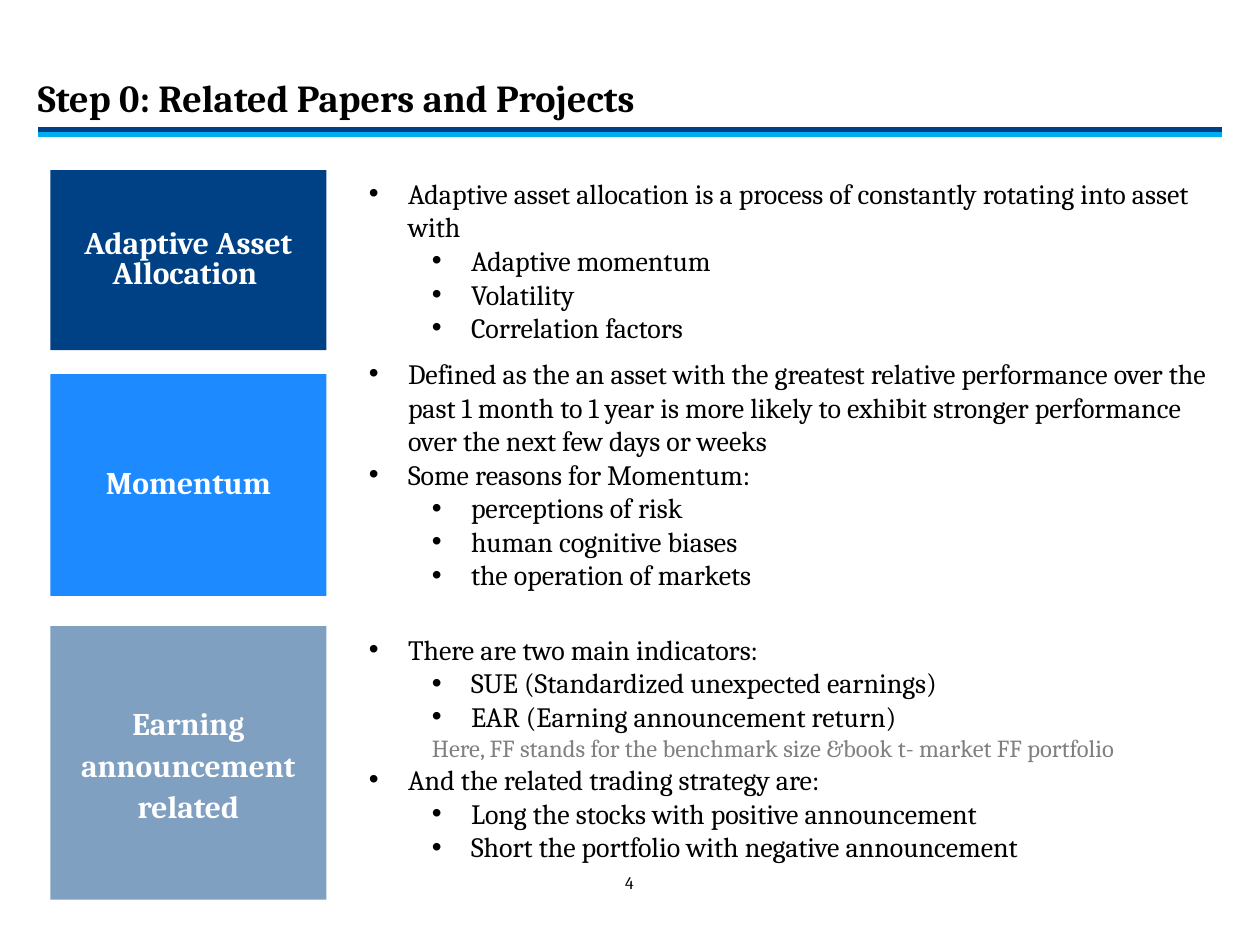
from dataclasses import dataclass

from lxml.etree import SubElement
from pptx import Presentation
from pptx.dml.color import RGBColor
from pptx.enum.shapes import MSO_CONNECTOR, MSO_SHAPE
from pptx.enum.text import MSO_ANCHOR, MSO_AUTO_SIZE, PP_ALIGN
from pptx.oxml.ns import qn
from pptx.util import Inches, Pt


@dataclass(frozen=True)
class Theme:
    font: str = "Cambria"
    black: str = "000000"
    white: str = "FFFFFF"
    grey: str = "808080"
    navy: str = "004185"
    cyan: str = "00ADEE"
    blue: str = "1D8BFF"
    steel: str = "80A0C2"
    title_size: float = 21.8
    label_size: float = 18
    body_size: float = 16
    note_size: float = 14
    number_size: float = 10


THEME = Theme()
RULE_LEFT, RULE_RIGHT = 0.3, 9.7
LABEL_LEFT, LABEL_WIDTH = 0.4, 2.19
BODY_LEFT, BODY_WIDTH = 2.83, 6.88
HANGING = 0.31

# Paragraph kinds: level, left margin, hanging indent
POINT = (0, HANGING, HANGING)
SUBPOINT = (1, 0.5 + HANGING, HANGING)
NOTE = (1, 0.5, 0)

# Each topic: label, colour, line spacing, label (top, height), body (top, height), lines
TOPICS = [
    ("Adaptive Asset Allocation ", THEME.navy, 0.8, (1.35, 1.43), (1.35, 1.45), [
        (POINT, "Adaptive asset allocation is a process of constantly rotating into asset with"),
        (SUBPOINT, "Adaptive momentum"),
        (SUBPOINT, "Volatility"),
        (SUBPOINT, "Correlation factors"),
    ]),
    ("Momentum", THEME.blue, 0.8, (2.97, 1.76), (2.78, 1.99), [
        (POINT, "Defined as the an asset with the greatest relative performance over the "
                "past 1 month to 1 year is more likely to exhibit stronger performance "
                "over the next few days or weeks"),
        (POINT, "Some reasons for Momentum:"),
        (SUBPOINT, "perceptions of risk"),
        (SUBPOINT, "human cognitive biases"),
        (SUBPOINT, "the operation of markets"),
    ]),
    ("Earning announcement related", THEME.steel, 1.1, (4.97, 2.17), (4.97, 2.22), [
        (POINT, "There are two main indicators:"),
        (SUBPOINT, "SUE (Standardized unexpected earnings)"),
        (SUBPOINT, "EAR (Earning announcement return)"),
        (NOTE, "Here, FF stands for the benchmark size &book t- market FF portfolio"),
        (POINT, "And the related trading strategy are:"),
        (SUBPOINT, "Long the stocks with positive announcement"),
        (SUBPOINT, "Short the portfolio with negative announcement"),
    ]),
]


def write(paragraph, text, size, color=THEME.black, bold=False,
          align=PP_ALIGN.LEFT, spacing=None):
    paragraph.alignment = align
    if spacing:
        paragraph.line_spacing = spacing
    run = paragraph.add_run()
    run.text = text
    run.font.name = THEME.font
    run.font.size = Pt(size)
    run.font.bold = bold
    run.font.color.rgb = RGBColor.from_string(color)


def prepare_frame(frame, anchor):
    """Wrap the text and drop the inner margins."""
    frame.word_wrap = True
    frame.auto_size = MSO_AUTO_SIZE.NONE
    frame.vertical_anchor = anchor
    frame.margin_left = frame.margin_right = 0
    frame.margin_top = frame.margin_bottom = 0


def set_indent(paragraph, kind):
    level, margin, hanging = kind
    paragraph.level = level
    properties = paragraph._p.get_or_add_pPr()
    properties.set("marL", str(Inches(margin)))
    properties.set("indent", str(-Inches(hanging)))
    if hanging:
        SubElement(properties, qn("a:buFont")).set("typeface", "Arial")
        SubElement(properties, qn("a:buChar")).set("char", "•")
    else:
        SubElement(properties, qn("a:buNone"))


def add_title(slide, text):
    title = slide.shapes.title
    title.left, title.top = Inches(RULE_LEFT), Inches(0.32)
    title.width, title.height = Inches(9.41), Inches(0.63)
    prepare_frame(title.text_frame, MSO_ANCHOR.BOTTOM)
    write(title.text_frame.paragraphs[0], text, THEME.title_size, bold=True, spacing=0.8)


def add_rule(slide, y, color):
    rule = slide.shapes.add_connector(
        MSO_CONNECTOR.STRAIGHT, Inches(RULE_LEFT), Inches(y), Inches(RULE_RIGHT), Inches(y))
    rule.line.color.rgb = RGBColor.from_string(color)
    rule.line.width = Pt(3)
    SubElement(rule._element.spPr, qn("a:effectLst"))


def add_label(slide, text, color, spacing, top, height):
    label = slide.shapes.add_shape(
        MSO_SHAPE.RECTANGLE, Inches(LABEL_LEFT), Inches(top), Inches(LABEL_WIDTH), Inches(height))
    label.shadow.inherit = False
    label.fill.solid()
    label.fill.fore_color.rgb = RGBColor.from_string(color)
    label.line.fill.background()
    prepare_frame(label.text_frame, MSO_ANCHOR.MIDDLE)
    write(label.text_frame.paragraphs[0], text, THEME.label_size, THEME.white,
          bold=True, align=PP_ALIGN.CENTER, spacing=spacing)


def add_body(slide, lines, top, height):
    body = slide.shapes.add_textbox(
        Inches(BODY_LEFT), Inches(top), Inches(BODY_WIDTH), Inches(height))
    frame = body.text_frame
    frame.word_wrap = True
    frame.auto_size = MSO_AUTO_SIZE.SHAPE_TO_FIT_TEXT
    for index, (kind, text) in enumerate(lines):
        paragraph = frame.add_paragraph() if index else frame.paragraphs[0]
        set_indent(paragraph, kind)
        if kind == NOTE:
            write(paragraph, text, THEME.note_size, THEME.grey)
        else:
            write(paragraph, text, THEME.body_size)


def add_page_number(slide, number):
    box = slide.shapes.add_textbox(Inches(4.8), Inches(6.92), Inches(0.39), Inches(0.52))
    prepare_frame(box.text_frame, MSO_ANCHOR.TOP)
    write(box.text_frame.paragraphs[0], number, THEME.number_size, align=PP_ALIGN.CENTER)


def main():
    deck = Presentation()
    deck.slide_width, deck.slide_height = Inches(10), Inches(7.5)
    slide = deck.slides.add_slide(deck.slide_layouts[5])

    # Heading with its double rule
    add_title(slide, "Step 0: Related Papers and Projects")
    add_rule(slide, 1.03, THEME.navy)
    add_rule(slide, 1.07, THEME.cyan)

    # One row per topic
    for name, color, spacing, label_span, body_span, lines in TOPICS:
        add_label(slide, name, color, spacing, *label_span)
        add_body(slide, lines, *body_span)

    # Footer
    add_page_number(slide, "4")
    deck.save("out.pptx")


if __name__ == "__main__":
    main()
